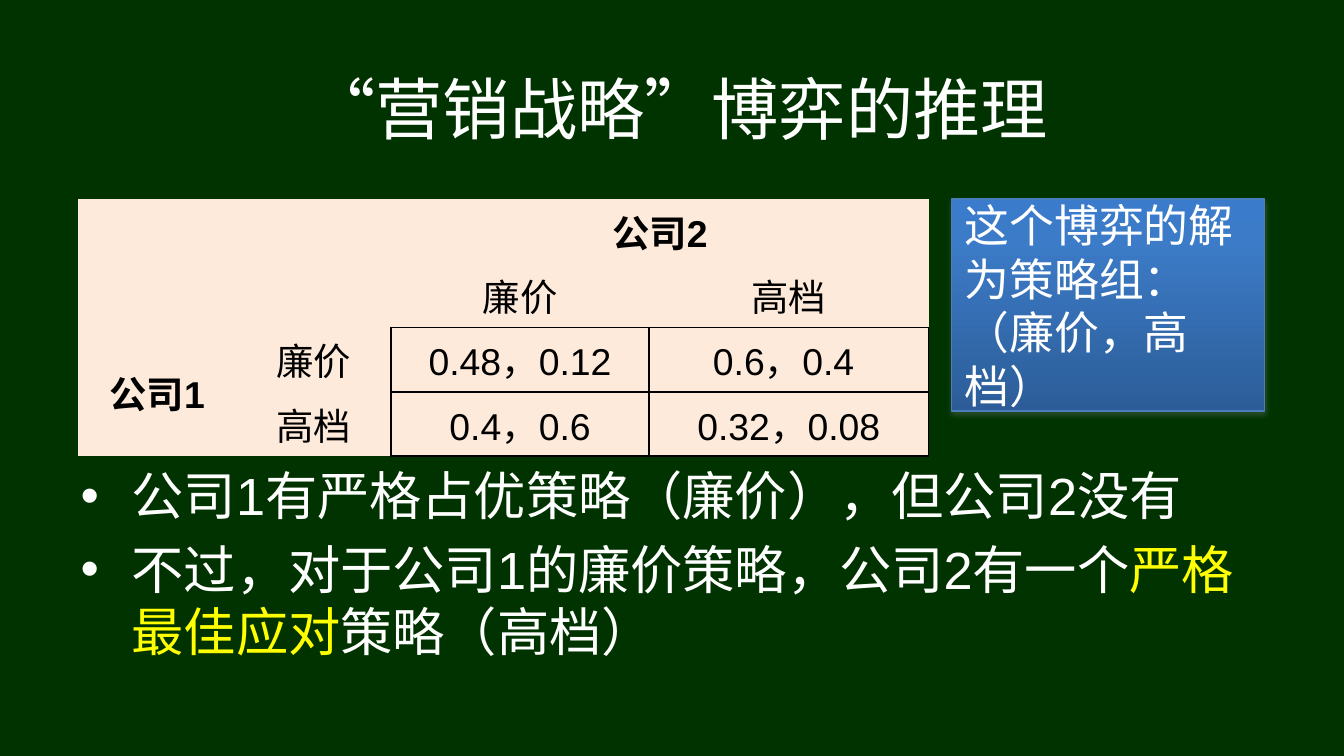
import copy

import lxml.etree
import pptx
import pptx.dml.color
import pptx.enum.shapes
import pptx.enum.text
import pptx.oxml
import pptx.oxml.ns
import pptx.util

Inches = pptx.util.Inches
Pt = pptx.util.Pt
qn = pptx.oxml.ns.qn

SLIDE_WIDTH = 10
COLORS = {
    "background": "003300", "text": "FFFFFF", "highlight": "FFFF00",
    "cell": "FDEADA", "ink": "000000", "outline": "4A7EBB", "shadow": "808080",
}
GRADIENT = [(0, "3A7CCB"), (20, "3C7BC7"), (100, "2C5D98")]
FONT = "Arial"
NO_TABLE_STYLE = "{2D5ABB26-0587-4C30-8999-92F81FD0307C}"

TITLE = "“营销战略”博弈的推理"
PAYOFFS = [
    ["", "", "公司2", ""],
    ["", "", "廉价", "高档"],
    ["公司1", "廉价", "0.48，0.12", "0.6，0.4 "],
    ["", "高档", "0.4，0.6", "0.32，0.08"],
]
PLAYERS = ("公司1", "公司2")
COLUMN_WIDTHS = [1.18, 1.15, 1.92, 2.08]
ROW_HEIGHT = 0.41
FIRST_PAYOFF = 2
BULLETS = [
    [("公司1有严格占优策略（廉价），但公司2没有", "text")],
    [("不过，对于公司1的廉价策略，公司2有一个", "text"),
     ("严格最佳应对", "highlight"), ("策略（高档）", "text")],
]
SOLUTION = ["这个博弈的解为策略组：", "（廉价，高档）"]


def rgb(value):
    return pptx.dml.color.RGBColor.from_string(value)


def place(shape, left, top, width, height):
    shape.left, shape.top = Inches(left), Inches(top)
    shape.width, shape.height = Inches(width), Inches(height)


def style(paragraph, size, color, alignment, bold=False):
    paragraph.alignment = alignment
    font = paragraph.font
    font.name, font.size, font.bold = FONT, Pt(size), bold
    font.color.rgb = rgb(color)


def prepare_frame(shape, anchor):
    frame = shape.text_frame
    frame.word_wrap = True
    frame.auto_size = pptx.enum.text.MSO_AUTO_SIZE.NONE
    frame.vertical_anchor = anchor
    return frame


def add_borders(cell, sides):
    """Draw 1 pt lines on the sides, given as letters in the order L, R, T, B."""
    properties = cell._tc.get_or_add_tcPr()
    for position, side in enumerate(sides):
        line = lxml.etree.Element(qn(f"a:ln{side}"), w=str(Pt(1)))
        fill = lxml.etree.SubElement(line, qn("a:solidFill"))
        lxml.etree.SubElement(fill, qn("a:srgbClr"), val=COLORS["ink"])
        properties.insert(position, line)


def borders_for(row, column):
    if row >= FIRST_PAYOFF and column >= FIRST_PAYOFF:
        return "LRTB"
    if row == FIRST_PAYOFF - 1 and column >= FIRST_PAYOFF:
        return "B"
    if column == FIRST_PAYOFF - 1 and row >= FIRST_PAYOFF:
        return "R"
    return ""


def add_title(slide):
    title = slide.shapes.title
    place(title, 1.92, 0.48, 6.25, 0.64)
    frame = prepare_frame(title, pptx.enum.text.MSO_ANCHOR.MIDDLE)
    frame.text = TITLE
    style(frame.paragraphs[0], 36, COLORS["text"], pptx.enum.text.PP_ALIGN.CENTER)


def add_payoff_table(slide):
    frame = slide.shapes.add_table(
        len(PAYOFFS), len(COLUMN_WIDTHS), Inches(0.58), Inches(1.48),
        Inches(sum(COLUMN_WIDTHS)), Inches(ROW_HEIGHT * len(PAYOFFS)))
    table = frame.table
    table.first_row = table.horz_banding = False
    table._tbl.tblPr.find(qn("a:tableStyleId")).text = NO_TABLE_STYLE
    for column, width in zip(table.columns, COLUMN_WIDTHS):
        column.width = Inches(width)
    for row in table.rows:
        row.height = Inches(ROW_HEIGHT)
    for row, texts in enumerate(PAYOFFS):
        for column, text in enumerate(texts):
            cell = table.cell(row, column)
            cell.text = text
            cell.vertical_anchor = pptx.enum.text.MSO_ANCHOR.MIDDLE
            cell.margin_top = cell.margin_bottom = Pt(2.7)
            cell.fill.solid()
            cell.fill.fore_color.rgb = rgb(COLORS["cell"])
            style(cell.text_frame.paragraphs[0], 20, COLORS["ink"],
                  pptx.enum.text.PP_ALIGN.CENTER, text in PLAYERS)
            add_borders(cell, borders_for(row, column))
    table.cell(0, 2).merge(table.cell(0, 3))
    table.cell(2, 0).merge(table.cell(3, 0))


def add_bullets(slide):
    body = slide.placeholders[1]
    place(body, 0.5, 3.4, 9, 1.67)
    frame = prepare_frame(body, pptx.enum.text.MSO_ANCHOR.TOP)
    for index, runs in enumerate(BULLETS):
        paragraph = frame.add_paragraph() if index else frame.paragraphs[0]
        properties = paragraph._p.get_or_add_pPr()
        properties.set("marL", str(Inches(0.38)))
        properties.set("indent", str(-Inches(0.38)))
        lxml.etree.SubElement(properties, qn("a:buChar"), char="•")
        paragraph.space_before = Pt(5.6 if index else 0)
        style(paragraph, 28, COLORS["text"], pptx.enum.text.PP_ALIGN.LEFT)
        for text, color in runs:
            run = paragraph.add_run()
            run.text = text
            run.font.color.rgb = rgb(COLORS[color])


def fill_with_gradient(shape):
    shape.fill.gradient()
    shape.fill.gradient_angle = 270
    first_stop = shape._element.spPr.find(".//" + qn("a:gs"))
    first_stop.addnext(copy.deepcopy(first_stop))
    for stop, (percent, color) in zip(shape.fill.gradient_stops, GRADIENT):
        stop.position = percent / 100
        stop.color.rgb = rgb(color)


def add_shadow(shape):
    shape.shadow.inherit = False
    effects = shape._element.spPr.find(qn("a:effectLst"))
    shadow = lxml.etree.SubElement(
        effects, qn("a:outerShdw"), blurRad=str(Pt(3.1)), dist=str(Pt(1.8)),
        dir="5400000", rotWithShape="0")
    color = lxml.etree.SubElement(shadow, qn("a:srgbClr"), val=COLORS["shadow"])
    lxml.etree.SubElement(color, qn("a:alpha"), val="35000")


def add_solution_box(slide):
    box = slide.shapes.add_shape(
        pptx.enum.shapes.MSO_SHAPE.RECTANGLE,
        Inches(7.08), Inches(1.48), Inches(2.33), Inches(1.58))
    fill_with_gradient(box)
    box.line.color.rgb = rgb(COLORS["outline"])
    box.line.width = Pt(0.75)
    add_shadow(box)
    frame = prepare_frame(box, pptx.enum.text.MSO_ANCHOR.MIDDLE)
    frame.text = "\n".join(SOLUTION)
    for paragraph in frame.paragraphs:
        style(paragraph, 24, COLORS["text"], pptx.enum.text.PP_ALIGN.LEFT)


def main():
    presentation = pptx.Presentation()
    presentation.slide_width = Inches(SLIDE_WIDTH)
    presentation.slide_height = Inches(SLIDE_WIDTH * 9 / 16)
    slide = presentation.slides.add_slide(presentation.slide_layouts[1])
    slide.background.fill.solid()
    slide.background.fill.fore_color.rgb = rgb(COLORS["background"])
    add_title(slide)
    add_payoff_table(slide)
    add_bullets(slide)
    add_solution_box(slide)
    presentation.save("out.pptx")


if __name__ == "__main__":
    main()
